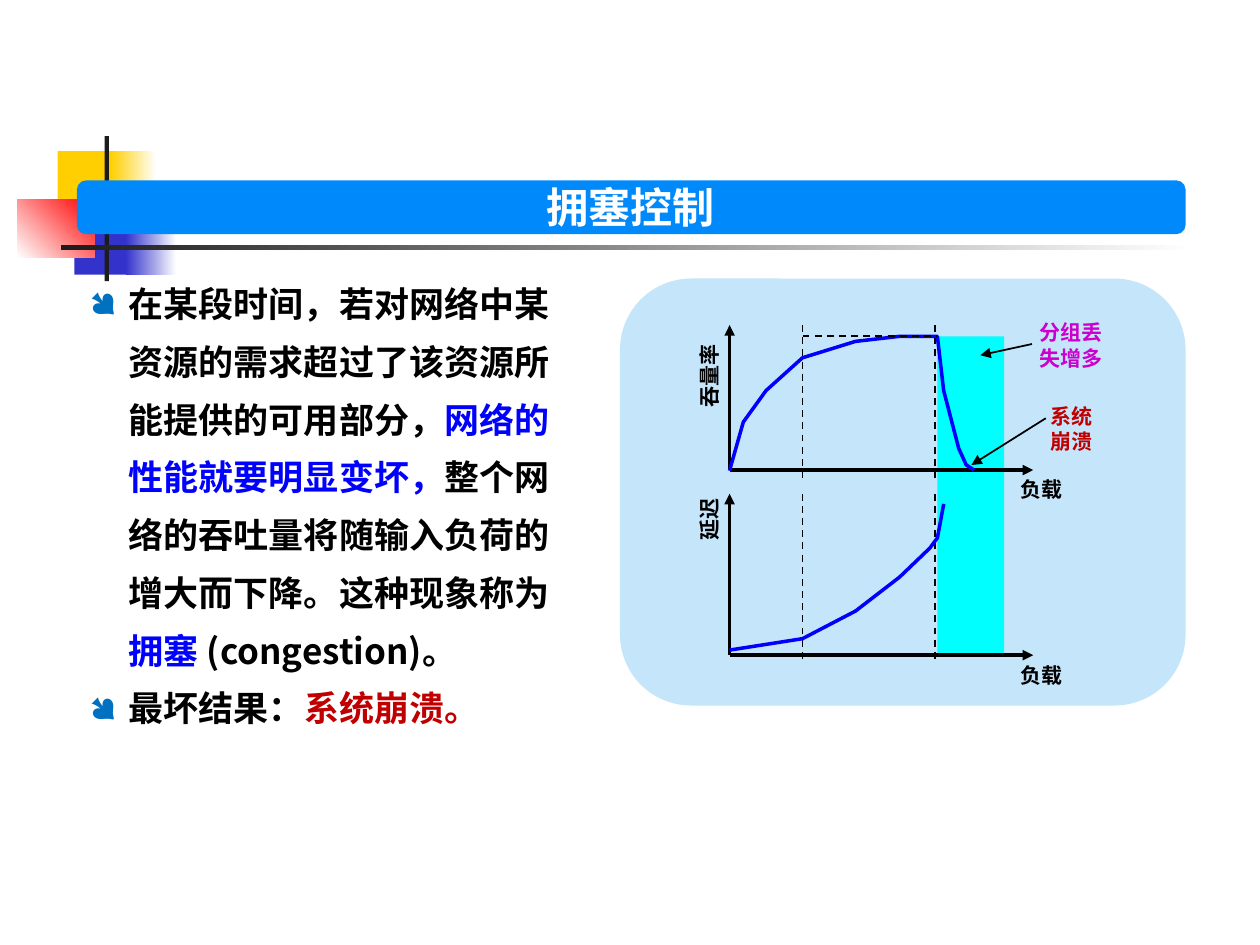
import dataclasses

import pptx
import pptx.dml.color
import pptx.enum.dml
import pptx.enum.shapes
import pptx.enum.text
import pptx.oxml
import pptx.oxml.ns
import pptx.util

Pt = pptx.util.Pt
Shape = pptx.enum.shapes.MSO_SHAPE
Align = pptx.enum.text.PP_ALIGN


@dataclasses.dataclass(frozen=True)
class Theme:
    font: str = "Noto Sans CJK SC"
    title_size: float = 24
    body_size: float = 20
    label_size: float = 12
    line_spacing: float = 33
    indent: float = 22.5
    white: str = "FFFFFF"
    black: str = "000000"
    charcoal: str = "1C1C1C"
    yellow: str = "FFCF01"
    indigo: str = "3333CC"
    red: str = "FF0000"
    banner: str = "0089FA"
    panel: str = "C5E5FB"
    overload: str = "00FFFF"
    blue: str = "0000FF"
    crimson: str = "C00000"
    magenta: str = "CC00CC"
    bullet: str = "0070C0"


def rgb(value):
    return pptx.dml.color.RGBColor.from_string(value)


def add_xml(parent, tag, **attributes):
    child = pptx.oxml.parse_xml(f"<a:{tag} {pptx.oxml.ns.nsdecls('a')}/>")
    for name, value in attributes.items():
        child.set(name, value)
    parent.append(child)
    return child


class SlideBuilder:
    """Draws styled elements, measured in points, on the current slide."""

    def __init__(self, theme, slide):
        self.theme = theme
        self.slide = slide

    def block(self, left, top, width, height, color, fade_to=None, angle=0,
              kind=Shape.RECTANGLE):
        block = self.slide.shapes.add_shape(
            kind, Pt(left), Pt(top), Pt(width), Pt(height))
        block.shadow.inherit = False
        block.line.fill.background()
        if fade_to:
            block.fill.gradient()
            block.fill.gradient_angle = angle
            for stop, shade in zip(block.fill.gradient_stops, (color, fade_to)):
                stop.color.rgb = rgb(shade)
        else:
            block.fill.solid()
            block.fill.fore_color.rgb = rgb(color)
        return block

    def line(self, start, end, weight=1, arrow=False, dashed=False):
        line = self.slide.shapes.add_connector(
            pptx.enum.shapes.MSO_CONNECTOR.STRAIGHT, *map(Pt, start + end))
        line.line.color.rgb = rgb(self.theme.black)
        line.line.width = Pt(weight)
        if dashed:
            line.line.dash_style = pptx.enum.dml.MSO_LINE.DASH
        if arrow:
            add_xml(line.line._get_or_add_ln(), "tailEnd", type="triangle")
        add_xml(line._element.spPr, "effectLst")

    def curve(self, points):
        vertices = [(Pt(x), Pt(y)) for x, y in points]
        builder = self.slide.shapes.build_freeform(*vertices[0])
        builder.add_line_segments(vertices[1:], close=False)
        curve = builder.convert_to_shape()
        curve.shadow.inherit = False
        curve.fill.background()
        curve.line.color.rgb = rgb(self.theme.blue)
        curve.line.width = Pt(2)

    def text(self, paragraphs, left, top, width, height, size=None, color=None,
             align=Align.LEFT, wrap=False, rotation=0, bulleted=False):
        box = self.slide.shapes.add_textbox(
            Pt(left), Pt(top), Pt(width), Pt(height))
        box.rotation = rotation
        frame = box.text_frame
        frame.word_wrap = wrap
        for index, runs in enumerate(paragraphs):
            paragraph = frame.add_paragraph() if index else frame.paragraphs[0]
            paragraph.alignment = align
            if bulleted:
                self.bullet(paragraph)
            for words, shade in [(runs, color)] if isinstance(runs, str) else runs:
                run = paragraph.add_run()
                run.text = words
                run.font.size = Pt(size or self.theme.label_size)
                run.font.bold = True
                run.font.name = self.theme.font
                run.font.color.rgb = rgb(shade or self.theme.black)
                add_xml(run.font._element, "ea", typeface=self.theme.font)

    def bullet(self, paragraph):
        paragraph.line_spacing = Pt(self.theme.line_spacing)
        properties = paragraph._p.get_or_add_pPr()
        indent = Pt(self.theme.indent)
        properties.set("marL", str(indent))
        properties.set("indent", str(-indent))
        add_xml(add_xml(properties, "buClr"), "srgbClr", val=self.theme.bullet)
        add_xml(properties, "buFont", typeface="Wingdings")
        add_xml(properties, "buChar", char="●")


def draw_header(builder, theme):
    builder.block(33, 86.4, 34.6, 37.4, theme.yellow)
    builder.block(63.4, 86.4, 25.9, 37.4, theme.yellow, theme.white)
    builder.block(42.5, 119.5, 33.1, 37.4, theme.indigo)
    builder.block(72, 119.5, 28.8, 37.4, theme.indigo, theme.white)
    builder.block(10, 113.8, 44, 33.1, theme.white, theme.red, angle=45)
    builder.block(59.8, 77.8, 2.4, 82.8, theme.charcoal)
    builder.block(34.6, 140.2, 648, 2.4, theme.charcoal, theme.white)
    builder.block(354.3, 159.2, 323.2, 244, theme.panel,
                  kind=Shape.ROUNDED_RECTANGLE)
    builder.block(44, 103.1, 633.5, 30.7, theme.banner,
                  kind=Shape.ROUNDED_RECTANGLE)
    builder.text(["拥塞控制"], 304.6, 100.1, 111.6, 36.7, size=theme.title_size,
                 color=theme.white, align=Align.CENTER)


def draw_explanation(builder, theme):
    definition = [
        ("在某段时间，若对网络中某资源的需求超过了该资源所能提供的可用部分，", theme.black),
        ("网络的性能就要明显变坏，", theme.blue),
        ("整个网络的吞吐量将随输入负荷的增大而下降。这种现象称为", theme.black),
        ("拥塞 ", theme.blue),
        ("(congestion)。", theme.black),
    ]
    outcome = [("最坏结果：", theme.black), ("系统崩溃。", theme.crimson)]
    builder.text([definition, outcome], 44, 149, 280, 273.6,
                 size=theme.body_size, wrap=True, bulleted=True)


def draw_charts(builder, theme):
    origin, axis_end = 416.9, 590.4
    knee, cliff, peak = 458.6, 534.2, 192.2
    throughput = [(origin, 269), (424.8, 241.2), (437.8, 223.2), (knee, 204.5),
                  (488.9, 195.1), (514.1, peak), (535.7, peak), (539.3, 223.2),
                  (547.9, 256.3), (552.2, 265.7), (556.6, 268.6)]
    delay = [(origin, 371.5), (knee, 365), (488.9, 349.2), (514.1, 329.8),
             (531.4, 313.2), (535.7, 307.4), (539.3, 288)]
    charts = [(185.8, 268.6, 275, throughput), (282.2, 374.4, 378, delay)]

    builder.block(535.7, peak, 38.2, 182.2, theme.overload)
    for top, base, guide_end, points in charts:
        builder.line((origin, base), (origin, top), weight=2, arrow=True)
        builder.line((origin, base), (axis_end, base), weight=2, arrow=True)
        for guide in (knee, cliff):
            builder.line((guide, top), (guide, guide_end), dashed=True)
        builder.curve(points)
        builder.text(["负载"], 576, base + 0.4, 38.9, 21.6)
    builder.line((knee, peak), (535.7, peak), dashed=True)

    builder.text(["吞量率"], 380.2, 203.8, 50.4, 21.6, rotation=270)
    builder.text(["延迟"], 385.9, 285.8, 38.9, 21.6, rotation=270)
    builder.text(["系统", "崩溃"], 593.3, 226.8, 44.6, 36, color=theme.crimson,
                 wrap=True)
    builder.line((597.6, 239), (555.1, 265.7), arrow=True)
    builder.text(["分组丢失增多"], 586.8, 179.3, 54.7, 36, color=theme.magenta,
                 wrap=True)
    builder.line((589.7, 196.6), (560.2, 203), arrow=True)


def main():
    theme = Theme()
    presentation = pptx.Presentation()
    presentation.slide_width = Pt(720)
    presentation.slide_height = Pt(540)
    slide = presentation.slides.add_slide(presentation.slide_layouts[6])
    builder = SlideBuilder(theme, slide)
    draw_header(builder, theme)
    draw_explanation(builder, theme)
    draw_charts(builder, theme)
    presentation.save("out.pptx")


if __name__ == "__main__":
    main()
